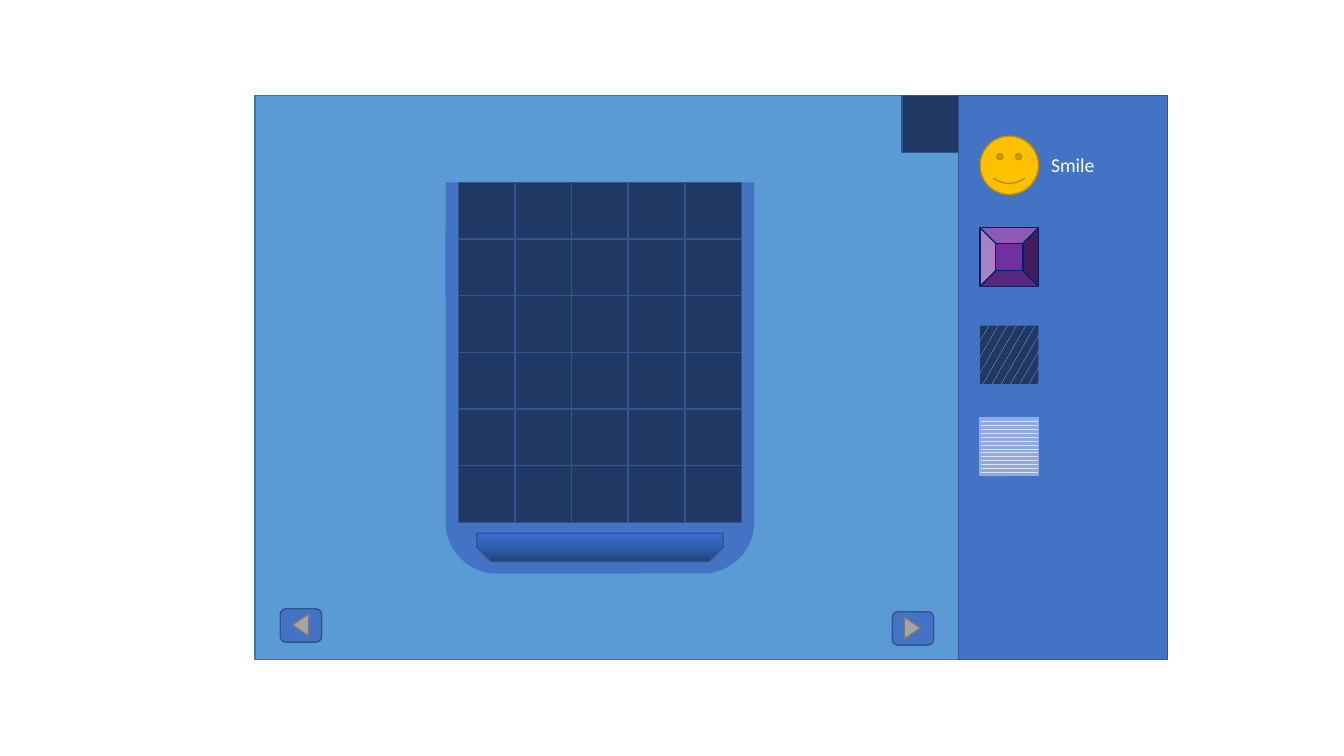
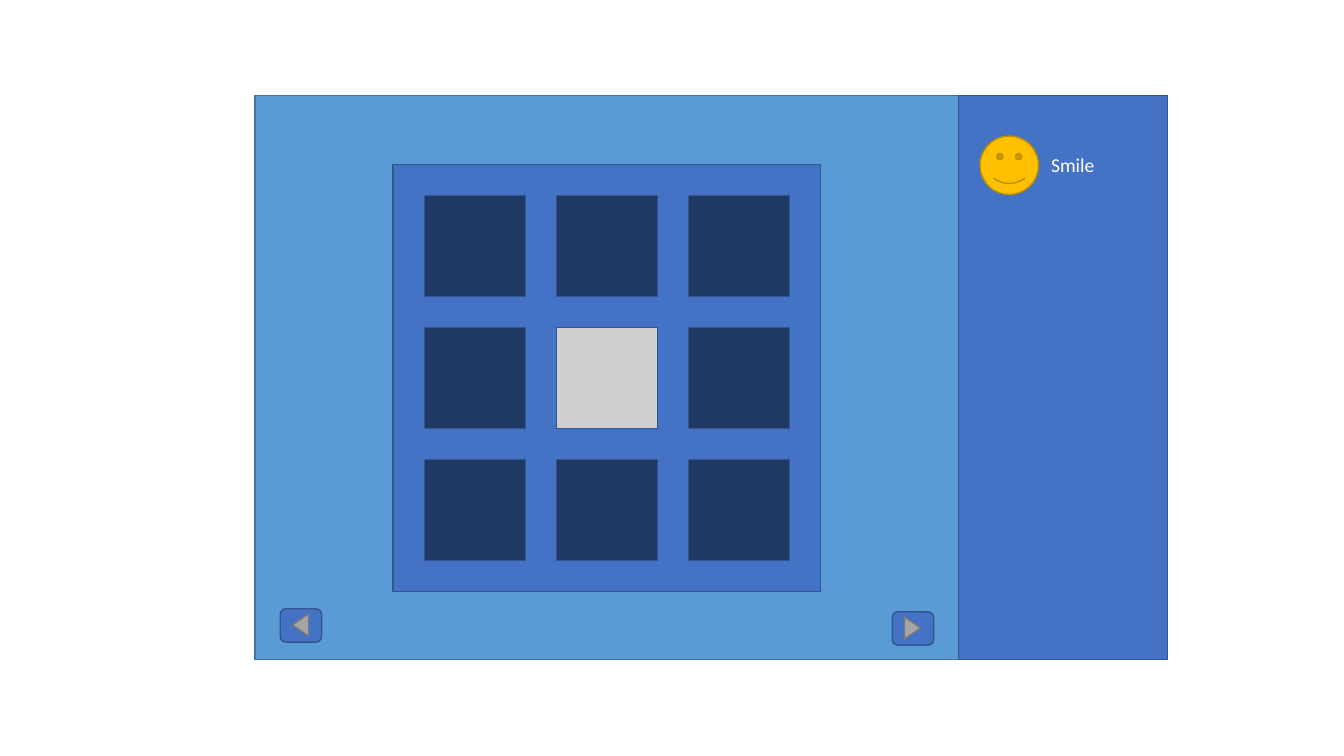
import copy

import pptx
import pptx.dml.color
import pptx.enum.dml
import pptx.enum.shapes
import pptx.enum.text
import pptx.util

Inches = pptx.util.Inches
Pt = pptx.util.Pt
Kind = pptx.enum.shapes.MSO_SHAPE
Pattern = pptx.enum.dml.MSO_PATTERN

# Shared colours
SKY, BLUE, NAVY = "5B9BD5", "4472C4", "203864"
SKY_EDGE, BLUE_EDGE = "43739E", "325491"
GREY, GREY_EDGE, SILVER = "A5A5A5", "7A7A7A", "D0CECE"
GOLD, GOLD_EDGE = "FFC000", "BD8E00"
PURPLE, PURPLE_EDGE = "7030A0", "002060"
PALE, PERIWINKLE = "DAE3F3", "8FAADC"
WHITE = "FFFFFF"
TRAY_STOPS = [(0, "23427A"), (0.5, "315EAD"), (1, "3A6FCE")]

# Shared places
STAGE_LEFT, STAGE_TOP, STAGE_WIDTH, STAGE_HEIGHT = 2.53, 0.95, 6.98, 5.59
PANEL_LEFT, PANEL_WIDTH = STAGE_LEFT + STAGE_WIDTH, 2.07
ICON_LEFT, ICON_SIZE = 9.72, 0.58


def color(value):
    return pptx.dml.color.RGBColor.from_string(value)


def add_shape(page, kind, left, top, width, height, fill=None, line=None,
              rotation=0, adjustments=()):
    shape = page.shapes.add_shape(
        kind, Inches(left), Inches(top), Inches(width), Inches(height))
    shape.shadow.inherit = False
    shape.rotation = rotation
    for index, value in enumerate(adjustments):
        shape.adjustments[index] = value
    if fill:
        shape.fill.solid()
        shape.fill.fore_color.rgb = color(fill)
    if line:
        shape.line.color.rgb = color(line)
        shape.line.width = Pt(1)
    else:
        shape.line.fill.background()
    return shape


def add_square(page, left, top, size, fill=NAVY):
    return add_shape(page, Kind.RECTANGLE, left, top, size, size, fill, BLUE_EDGE)


def add_label(page, text, left, top, width, height):
    box = page.shapes.add_textbox(
        Inches(left), Inches(top), Inches(width), Inches(height))
    frame = box.text_frame
    frame.word_wrap = True
    frame.auto_size = pptx.enum.text.MSO_AUTO_SIZE.SHAPE_TO_FIT_TEXT
    para = frame.paragraphs[0]
    para.alignment = pptx.enum.text.PP_ALIGN.CENTER
    span = para.add_run()
    span.text = text
    span.font.name = "Calibri"
    span.font.size = Pt(14)
    span.font.color.rgb = color(WHITE)


def add_arrow_button(page, left, top, rotation):
    add_shape(page, Kind.ROUNDED_RECTANGLE, left, top, 0.41, 0.33, BLUE, BLUE_EDGE)
    add_shape(page, Kind.FLOWCHART_EXTRACT, left + 0.09, top + 0.08, 0.22, 0.16,
              GREY, GREY_EDGE, rotation)


def add_pattern_icon(page, top, pattern, front, back, line=None):
    icon = add_shape(page, Kind.RECTANGLE, ICON_LEFT, top, ICON_SIZE, ICON_SIZE,
                     line=line)
    icon.fill.patterned()
    icon.fill.pattern = pattern
    icon.fill.fore_color.rgb = color(front)
    icon.fill.back_color.rgb = color(back)


def fill_gradient(shape, stops):
    shape.fill.gradient()
    shape.fill.gradient_angle = 270
    stop_list = shape.fill._fill._gradFill.gsLst
    while len(stop_list) < len(stops):
        stop_list.append(copy.deepcopy(stop_list[0]))
    for stop, (position, value) in zip(shape.fill.gradient_stops, stops):
        stop.position = position
        stop.color.rgb = color(value)


def add_game_page(deck):
    """Stage, side panel, smiley and arrow buttons that every page has."""
    page = deck.slides.add_slide(deck.slide_layouts[6])
    add_shape(page, Kind.RECTANGLE, STAGE_LEFT, STAGE_TOP, STAGE_WIDTH,
              STAGE_HEIGHT, SKY, SKY_EDGE)
    add_arrow_button(page, 8.85, 6.07, 90)
    add_shape(page, Kind.RECTANGLE, PANEL_LEFT, STAGE_TOP, PANEL_WIDTH,
              STAGE_HEIGHT, BLUE, BLUE_EDGE)
    add_shape(page, Kind.SMILEY_FACE, ICON_LEFT, 1.35, ICON_SIZE, ICON_SIZE,
              GOLD, GOLD_EDGE)
    add_label(page, "Smile", 10.02, 1.47, 1.24, 0.34)
    add_arrow_button(page, 2.78, 6.04, 270)
    return page


def add_well_page(deck):
    page = add_game_page(deck)

    # Well with rounded bottom and square top
    left, top, width = 4.42, 1.81, 3.06
    add_shape(page, Kind.ROUNDED_RECTANGLE, left, top, width, 3.88, BLUE)
    add_shape(page, Kind.RECTANGLE, left, top, width, 1.12, BLUE)

    # Cells, centred in the well
    columns, rows = 5, 6
    cell = 2.81 / columns
    first_left = left + (width - columns * cell) / 2
    for column in range(columns):
        for row in range(rows):
            add_square(page, first_left + column * cell, top + row * cell, cell)
    add_square(page, PANEL_LEFT - cell, STAGE_TOP, cell)

    # Tray under the cells
    tray = add_shape(page, Kind.SNIP_2_SAME_RECTANGLE, 4.73, 5.29, 2.44, 0.28,
                     line=BLUE_EDGE, rotation=180, adjustments=(0.5, 0))
    fill_gradient(tray, TRAY_STOPS)

    # Block icons in the side panel
    add_shape(page, Kind.BEVEL, ICON_LEFT, 2.26, ICON_SIZE, ICON_SIZE,
              PURPLE, PURPLE_EDGE, adjustments=(0.265,))
    add_pattern_icon(page, 4.14, Pattern.WAVE, PALE, PERIWINKLE, PERIWINKLE)
    add_pattern_icon(page, 3.23, Pattern.SMALL_CONFETTI, SILVER, NAVY)


def add_board_page(deck):
    page = add_game_page(deck)

    # Board with three by three tiles and equal gaps
    left, top, size = 3.9, 1.63, 4.24
    count, tile = 3, 1
    gap = (size - count * tile) / (count + 1)
    add_square(page, left, top, size, BLUE)
    for row in range(count):
        for column in range(count):
            fill = SILVER if row == column == 1 else NAVY
            add_square(page, left + gap + column * (tile + gap),
                       top + gap + row * (tile + gap), tile, fill)


def main():
    deck = pptx.Presentation()
    deck.slide_width = Inches(13.33)
    deck.slide_height = Inches(7.5)
    add_well_page(deck)
    add_board_page(deck)
    deck.save("out.pptx")


if __name__ == "__main__":
    main()
